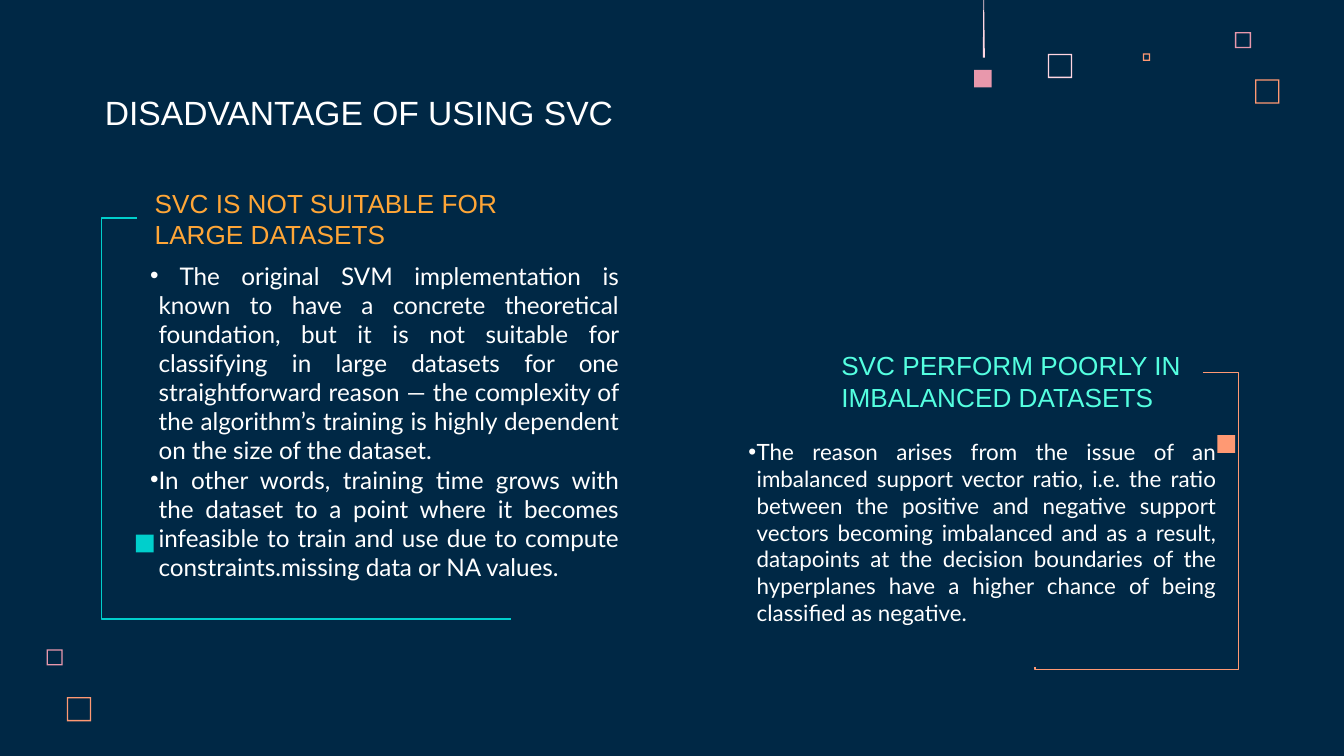
from lxml import etree
from pptx import Presentation
from pptx.dml.color import RGBColor
from pptx.enum import shapes, text
from pptx.oxml import ns
from pptx.util import Pt

HUES = {
    "navy": "002845", "white": "FFFFFF", "blush": "FFD6E1", "pink": "E898AC",
    "coral": "FF9973", "amber": "FFA637", "teal": "00CFCC", "mint": "54FFE0",
}


def hue(name):
    return RGBColor.from_string(HUES[name])


def paint(shape, name):
    shape.shadow.inherit = False
    shape.fill.solid()
    shape.fill.fore_color.rgb = hue(name)
    shape.line.fill.background()


def trace(slide, rings, close):
    rings = [[(Pt(x), Pt(y)) for x, y in ring] for ring in rings]
    pen = slide.shapes.build_freeform(*rings[0][0])
    pen.add_line_segments(rings[0][1:], close=close)
    for ring in rings[1:]:
        pen.move_to(*ring[0])
        pen.add_line_segments(ring[1:], close=close)
    return pen.convert_to_shape()


def add_frame(slide, x, y, size, name):
    rim = 0.7
    a, b, c, d = x, y, x + size, y + size
    outer = [(a, b), (a, d), (c, d), (c, b)]
    inner = [(c - rim, b + rim), (c - rim, d - rim),
             (a + rim, d - rim), (a + rim, b + rim)]
    paint(trace(slide, [inner, outer], True), name)


def add_block(slide, x, y, name):
    side = Pt(9.5)
    box = slide.shapes.add_shape(
        shapes.MSO_SHAPE.RECTANGLE, Pt(x), Pt(y), side, side)
    paint(box, name)


def add_bracket(slide, points, name):
    line = trace(slide, [points], False)
    line.shadow.inherit = False
    line.fill.background()
    line.line.color.rgb = hue(name)
    line.line.width = Pt(0.75)


def set_frame(shape, anchor):
    frame = shape.text_frame
    frame.word_wrap = True
    frame.auto_size = text.MSO_AUTO_SIZE.NONE
    frame.vertical_anchor = anchor
    frame.margin_left = frame.margin_right = Pt(7.2)
    frame.margin_top = frame.margin_bottom = Pt(7.2)
    return frame


def add_run(para, words, font, size, name):
    run = para.add_run()
    run.text = words
    run.font.name = font
    run.font.size = Pt(size)
    run.font.color.rgb = hue(name)


def add_title(slide, words):
    title = slide.shapes.title
    title.left, title.top = Pt(49), Pt(32.4)
    title.width, title.height = Pt(484.6), Pt(45.4)
    para = set_frame(title, text.MSO_ANCHOR.BOTTOM).paragraphs[0]
    para.alignment = text.PP_ALIGN.LEFT
    add_run(para, words, "Arial", 18, "white")


def add_head(slide, x, y, words, name):
    box = slide.shapes.add_textbox(Pt(x), Pt(y), Pt(207.4), Pt(51.1))
    para = set_frame(box, text.MSO_ANCHOR.BOTTOM).paragraphs[0]
    add_run(para, words, "Arial", 14, name)


def add_list(slide, x, y, height, size, items):
    box = slide.shapes.add_textbox(Pt(x), Pt(y), Pt(265), Pt(height))
    frame = set_frame(box, text.MSO_ANCHOR.TOP)
    for i, item in enumerate(items):
        para = frame.add_paragraph() if i else frame.paragraphs[0]
        para.alignment = text.PP_ALIGN.JUSTIFY
        props = para._p.get_or_add_pPr()
        props.set("marL", str(Pt(4.5)))
        props.set("indent", str(-Pt(4.5)))
        etree.SubElement(props, ns.qn("a:buFont")).set("typeface", "Arial")
        etree.SubElement(props, ns.qn("a:buChar")).set("char", "•")
        add_run(para, item, "Lato", size, "white")


def add_decor(slide):
    for x, y, size, name in [
        (561.4, 28.8, 13, "blush"), (661.6, 17.2, 8.6, "pink"),
        (612.2, 28.6, 4, "coral"), (672.4, 42.5, 13, "coral"),
        (25, 347.9, 8.6, "pink"), (35.8, 373.4, 13, "coral"),
    ]:
        add_frame(slide, x, y, size, name)
    add_block(slide, 521.8, 37.4, "pink")
    needle = [(526.8, 0), (526.5, 30.8), (527.6, 30.8), (527.2, 0)]
    paint(trace(slide, [needle], True), "blush")


def main():
    deck = Presentation()
    deck.slide_width, deck.slide_height = Pt(720), Pt(405)
    slide = deck.slides.add_slide(deck.slide_layouts[5])
    slide.background.fill.solid()
    slide.background.fill.fore_color.rgb = hue("navy")

    add_decor(slide)
    add_title(slide, "DISADVANTAGE OF USING SVC")

    add_head(slide, 75.8, 90, "SVC IS NOT SUITABLE FOR LARGE DATASETS", "amber")
    add_list(slide, 73.4, 132.5, 195, 13, [
        " The original SVM implementation is known to have a concrete "
        "theoretical foundation, but it is not suitable for classifying in "
        "large datasets for one straightforward reason — the complexity of "
        "the algorithm’s training is highly dependent on the size of the "
        "dataset. ",
        "In other words, training time grows with the dataset to a point "
        "where it becomes infeasible to train and use due to compute "
        "constraints.missing data or NA values.",
    ])
    add_bracket(slide, [(73.4, 116.9), (54.5, 116.9), (54.5, 331.7),
                        (273.6, 331.7)], "teal")
    add_bracket(slide, [(644.4, 199.6), (663.4, 199.6), (663.4, 358.6),
                        (554.4, 358.6), (554.4, 357.5)], "coral")
    add_block(slide, 72.8, 286.4, "teal")
    add_block(slide, 652.2, 233.1, "coral")

    add_head(slide, 443.6, 177, "SVC PERFORM POORLY IN IMBALANCED DATASETS",
             "mint")
    add_list(slide, 393.8, 227.5, 153.4, 12, [
        "The reason arises from the issue of an imbalanced support vector "
        "ratio, i.e. the ratio between the positive and negative support "
        "vectors becoming imbalanced and as a result, datapoints at the "
        "decision boundaries of the hyperplanes have a higher chance of "
        "being classified as negative.",
    ])

    deck.save("out.pptx")


if __name__ == "__main__":
    main()
